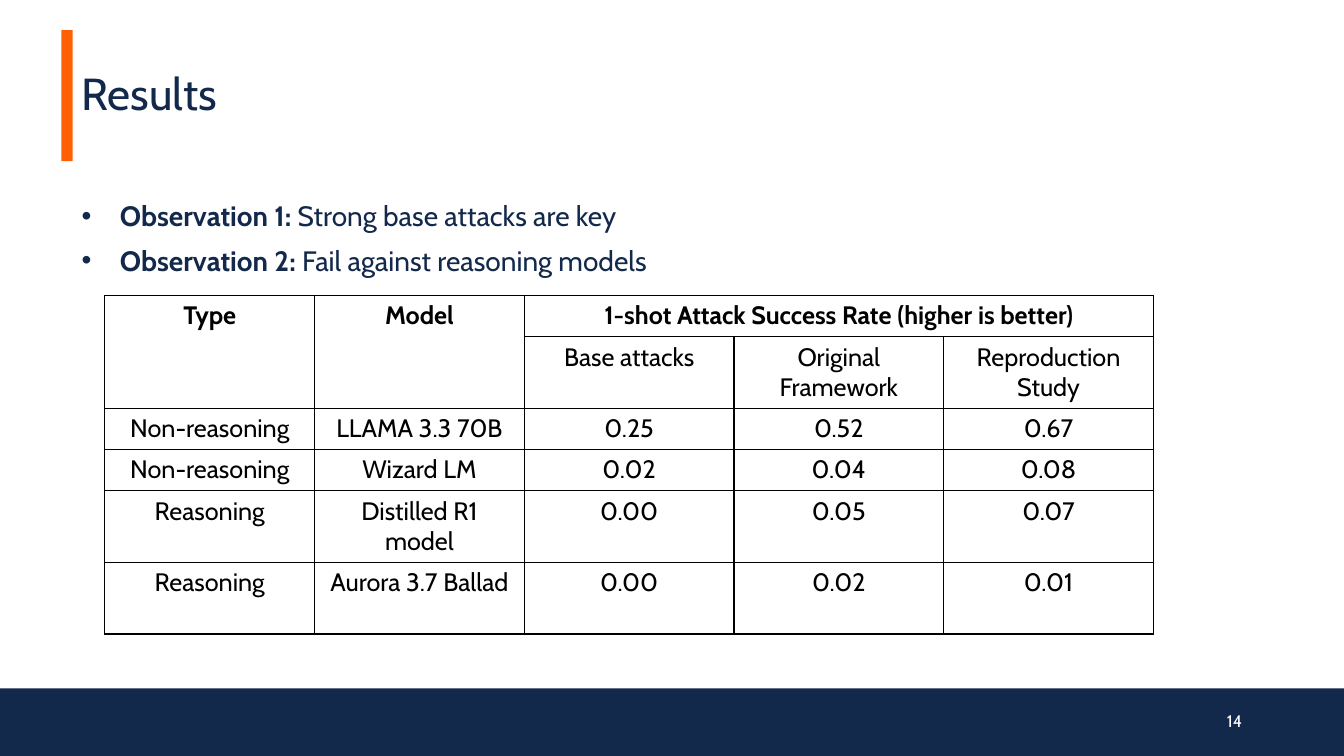
from lxml import etree
from pptx import Presentation
from pptx.dml.color import RGBColor
from pptx.enum.shapes import MSO_SHAPE as Shape
from pptx.enum.text import MSO_ANCHOR as Anchor, MSO_AUTO_SIZE as AutoSize, PP_ALIGN as Align
from pptx.oxml.ns import qn
from pptx.util import Inches, Pt

NAVY = RGBColor(0x13, 0x29, 0x4B)
ORANGE = RGBColor(0xFF, 0x5F, 0x05)
WHITE = RGBColor(0xFF, 0xFF, 0xFF)
BLACK = RGBColor(0x00, 0x00, 0x00)

OBSERVATIONS = [
    ("Observation 1: ", "Strong base attacks are key"),
    ("Observation 2: ", "Fail against reasoning models"),
]
RESULTS = [
    ["Type", "Model", "1-shot Attack Success Rate (higher is better)", "", ""],
    ["", "", "Base attacks", "Original Framework", "Reproduction Study"],
    ["Non-reasoning", "LLAMA 3.3 70B", "0.25", "0.52", "0.67"],
    ["Non-reasoning", "Wizard LM", "0.02", "0.04", "0.08"],
    ["Reasoning", "Distilled R1 model", "0.00", "0.05", "0.07"],
    ["Reasoning", "Aurora 3.7 Ballad", "0.00", "0.02", "0.01"],
]
TWO_LINE_ROWS = {1, 4, 5}
# Each merge runs from the first (row, column) to the second
MERGES = [((0, 0), (1, 0)), ((0, 1), (1, 1)), ((0, 2), (0, 4))]


class SlideBuilder:
    """Holds the style and the current slide."""

    font_name = "Cabin"

    def __init__(self, presentation):
        self.slide = presentation.slides.add_slide(presentation.slide_layouts[1])

    def style(self, font, size, color, bold=False):
        font.name = self.font_name
        font.size = Pt(size)
        font.color.rgb = color
        font.bold = bold

    def place(self, shape, left, top, width, height):
        shape.left, shape.top = Inches(left), Inches(top)
        shape.width, shape.height = Inches(width), Inches(height)

    def bar(self, left, top, width, height, color):
        shape = self.slide.shapes.add_shape(
            Shape.RECTANGLE, Inches(left), Inches(top), Inches(width), Inches(height))
        shape.shadow.inherit = False
        shape.fill.solid()
        shape.fill.fore_color.rgb = color
        shape.line.fill.background()

    def title(self, text, *box):
        shape = self.slide.shapes.title
        self.place(shape, *box)
        frame = shape.text_frame
        frame.text = text
        frame.auto_size = AutoSize.NONE
        frame.vertical_anchor = Anchor.MIDDLE
        paragraph = frame.paragraphs[0]
        paragraph.alignment = Align.LEFT
        paragraph.line_spacing = 0.9
        self.style(paragraph.runs[0].font, 32, NAVY)

    def bullets(self, items, *box):
        shape = self.slide.placeholders[1]
        self.place(shape, *box)
        frame = shape.text_frame
        frame.auto_size = AutoSize.NONE
        for index, (label, statement) in enumerate(items):
            paragraph = frame.add_paragraph() if index else frame.paragraphs[0]
            paragraph.line_spacing = 0.9
            paragraph.space_before = Pt(10 if index else 0)
            properties = paragraph._p.get_or_add_pPr()
            properties.set("marL", str(Inches(0.38)))
            properties.set("indent", str(-Inches(0.38)))
            bullet_font = etree.SubElement(properties, qn("a:buFont"))
            bullet_font.set("typeface", "Arial")
            etree.SubElement(properties, qn("a:buChar")).set("char", "•")
            for text, bold in ((label, True), (statement, False)):
                run = paragraph.add_run()
                run.text = text
                self.style(run.font, 20, NAVY, bold)

    def page_number(self, text, *box):
        shape = self.slide.shapes.add_textbox(*map(Inches, box))
        frame = shape.text_frame
        frame.word_wrap = True
        frame.vertical_anchor = Anchor.MIDDLE
        frame.text = text
        paragraph = frame.paragraphs[0]
        paragraph.alignment = Align.RIGHT
        self.style(paragraph.runs[0].font, 12, WHITE)

    def border(self, cell):
        properties = cell._tc.get_or_add_tcPr()
        for position, side in enumerate(("lnL", "lnR", "lnT", "lnB")):
            line = etree.Element(qn(f"a:{side}"), w=str(Pt(1)))
            fill = etree.SubElement(line, qn("a:solidFill"))
            etree.SubElement(fill, qn("a:srgbClr")).set("val", str(BLACK))
            properties.insert(position, line)

    def table(self, rows, left, top, column_width):
        heights = [0.71 if index in TWO_LINE_ROWS else 0.41 for index in range(len(rows))]
        columns = len(rows[0])
        table = self.slide.shapes.add_table(
            len(rows), columns, Inches(left), Inches(top),
            Inches(column_width * columns), Inches(sum(heights))).table
        table.first_row = table.horz_banding = False
        for column in table.columns:
            column.width = Inches(column_width)
        for row_index, (values, height) in enumerate(zip(rows, heights)):
            table.rows[row_index].height = Inches(height)
            for column_index, value in enumerate(values):
                cell = table.cell(row_index, column_index)
                cell.fill.background()
                self.border(cell)
                cell.text = value
                paragraph = cell.text_frame.paragraphs[0]
                paragraph.alignment = Align.CENTER
                self.style(paragraph.font, 18, BLACK, row_index == 0)
                for run in paragraph.runs:
                    self.style(run.font, 18, BLACK, row_index == 0)
        for first, last in MERGES:
            table.cell(*first).merge(table.cell(*last))


def main():
    presentation = Presentation()
    presentation.slide_width = Inches(13.33)
    presentation.slide_height = Inches(7.5)
    builder = SlideBuilder(presentation)

    # Accent bar and footer band
    builder.bar(0.61, 0.3, 0.11, 1.3, ORANGE)
    builder.bar(0, 6.83, 13.33, 0.67, NAVY)

    # Title and observations
    builder.title("Results", 0.71, 0.3, 11.34, 1.3)
    builder.bullets(OBSERVATIONS, 0.71, 1.96, 11.34, 4.51)

    # Page number and results table
    builder.page_number("14", 9.42, 6.95, 3, 0.4)
    builder.table(RESULTS, 1.04, 2.93, 2.08)

    presentation.save("out.pptx")


if __name__ == "__main__":
    main()
